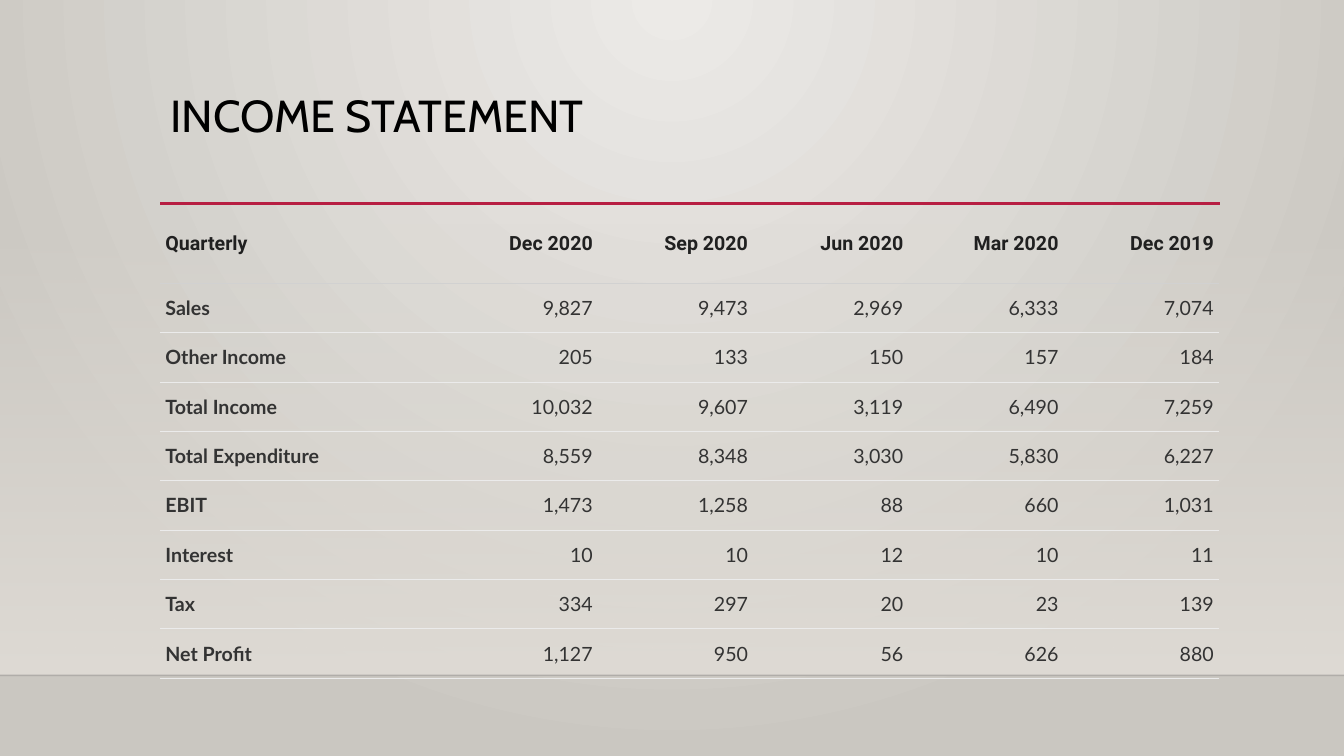
from dataclasses import dataclass

from lxml.etree import SubElement
from pptx import Presentation
from pptx.dml.color import RGBColor
from pptx.enum.shapes import MSO_CONNECTOR, MSO_SHAPE
from pptx.enum.text import MSO_ANCHOR, PP_ALIGN
from pptx.oxml import parse_xml
from pptx.oxml.ns import nsdecls, qn
from pptx.util import Inches, Pt


@dataclass(frozen=True)
class Theme:
    """Colours, fonts and type sizes of the slide."""
    glow: str = "ECEAE7"
    edge: str = "CAC7C1"
    wall: str = "DFDBD5"
    floor_line: str = "000001"
    accent: str = "B71E42"
    title: str = "000000"
    header: str = "202020"
    body: str = "333333"
    header_rule: str = "D1D1D1"
    body_rule: str = "EBEBEB"
    title_font: str = "Cabin"
    header_font: str = "Roboto"
    body_font: str = "Lato"
    title_size: int = 32
    table_size: int = 14


@dataclass(frozen=True)
class Box:
    """A region of the slide, in inches."""
    left: float
    top: float
    width: float
    height: float

    def lengths(self):
        """Return left, top, width and height as lengths."""
        return [Inches(v) for v in (self.left, self.top, self.width, self.height)]


THEME = Theme()
SLIDE = Box(0, 0, 13.33, 7.5)
WALL = Box(0, 2.21, 13.33, 4.49)
TITLE = Box(1.59, 0.88, 10.5, 1.15)
STATEMENT = Box(1.59, 2.03, 10.5, 4.7)
QUARTER_WIDTH, HEADER_HEIGHT, ROW_HEIGHT = 1.54, 0.78, 0.49
NO_TABLE_STYLE = "{2D5ABB26-0587-4C30-8999-92F81FD0307C}"

INCOME_STATEMENT = [
    ("Quarterly", "Dec 2020", "Sep 2020", "Jun 2020", "Mar 2020", "Dec 2019"),
    ("Sales", "9,827", "9,473", "2,969", "6,333", "7,074"),
    ("Other Income", "205", "133", "150", "157", "184"),
    ("Total Income", "10,032", "9,607", "3,119", "6,490", "7,259"),
    ("Total Expenditure", "8,559", "8,348", "3,030", "5,830", "6,227"),
    ("EBIT", "1,473", "1,258", "88", "660", "1,031"),
    ("Interest", "10", "10", "12", "10", "11"),
    ("Tax", "334", "297", "20", "23", "139"),
    ("Net Profit", "1,127", "950", "56", "626", "880"),
]


def set_alpha(color, percent):
    """Give an a:srgbClr element an opacity."""
    SubElement(color, qn("a:alpha")).set("val", str(percent * 1000))


def set_gradient(grad_fill, first, last, direction):
    """Replace a gradient's two end colours and its direction element."""
    for child in list(grad_fill):
        grad_fill.remove(child)
    stops = SubElement(grad_fill, qn("a:gsLst"))
    for position, color in ((0, first), (100000, last)):
        stop = SubElement(stops, qn("a:gs"), pos=str(position))
        SubElement(stop, qn("a:srgbClr"), val=color)
    grad_fill.append(parse_xml(direction))


def style_font(paragraph, name, size, color, bold=False):
    """Format every run of a paragraph."""
    for run in paragraph.runs:
        run.font.name = name
        run.font.size = Pt(size)
        run.font.bold = bold
        run.font.color.rgb = RGBColor.from_string(color)


def add_rule(slide, left, top, width, color, weight):
    """Draw a horizontal line without a shadow and return it."""
    rule = slide.shapes.add_connector(
        MSO_CONNECTOR.STRAIGHT, Inches(left), Inches(top),
        Inches(left + width), Inches(top))
    rule.line.color.rgb = RGBColor.from_string(color)
    rule.line.width = Pt(weight)
    SubElement(rule._element.spPr, qn("a:effectLst"))
    return rule


def add_backdrop(slide, box):
    """Paint the glowing background, the wall shade and the floor line."""
    slide.background.fill.gradient()
    set_gradient(
        slide.element.find(".//" + qn("a:gradFill")), THEME.glow, THEME.edge,
        f'<a:path {nsdecls("a")} path="circle">'
        '<a:fillToRect l="43000" t="0" r="43000" b="100000"/></a:path>')

    wall = slide.shapes.add_shape(MSO_SHAPE.RECTANGLE, *box.lengths())
    wall.shadow.inherit = False
    wall.line.fill.background()
    wall.fill.gradient()
    wall_fill = wall._element.spPr.find(qn("a:gradFill"))
    set_gradient(wall_fill, THEME.wall, THEME.wall,
                 f'<a:lin {nsdecls("a")} ang="5400000" scaled="0"/>')
    set_alpha(wall_fill.find(".//" + qn("a:srgbClr")), 0)

    floor = add_rule(slide, box.left, box.top + box.height, box.width,
                     THEME.floor_line, 1)
    set_alpha(floor._element.spPr.find(".//" + qn("a:srgbClr")), 20)


def add_heading(slide, box):
    """Place the title and the accent rule beneath it."""
    add_rule(slide, box.left, box.top + box.height - 0.01, box.width + 0.01,
             THEME.accent, 2.5)
    title = slide.shapes.title
    title.left, title.top, title.width, title.height = box.lengths()
    frame = title.text_frame
    frame.text = "INCOME STATEMENT"
    frame.word_wrap = True
    frame.vertical_anchor = MSO_ANCHOR.TOP
    heading = frame.paragraphs[0]
    heading.alignment = PP_ALIGN.LEFT
    heading.line_spacing = 0.9
    style_font(heading, THEME.title_font, THEME.title_size, THEME.title)


def set_border(cell, side, color):
    """Add a thin border to the top (lnT) or bottom (lnB) of a cell."""
    border = parse_xml(
        f'<a:{side} {nsdecls("a")} w="{Pt(0.6)}"><a:solidFill>'
        f'<a:srgbClr val="{color}"/></a:solidFill></a:{side}>')
    cell._tc.get_or_add_tcPr().insert(0, border)


def fill_cell(cell, text, is_header, is_label):
    """Write and format one cell of the statement."""
    cell.text = text
    cell.fill.background()
    cell.vertical_anchor = MSO_ANCHOR.MIDDLE
    cell.margin_left = cell.margin_right = Inches(0.05)
    cell.margin_top = cell.margin_bottom = Inches(0.08)
    entry = cell.text_frame.paragraphs[0]
    entry.alignment = PP_ALIGN.LEFT if is_label else PP_ALIGN.RIGHT
    style_font(entry, THEME.header_font if is_header else THEME.body_font,
               THEME.table_size, THEME.header if is_header else THEME.body,
               bold=is_header or is_label)


def add_statement(slide, box):
    """Build the quarterly income table."""
    quarters = len(INCOME_STATEMENT[0]) - 1
    frame = slide.shapes.add_table(
        len(INCOME_STATEMENT), quarters + 1, *box.lengths())
    table = frame.table
    table._tbl.tblPr.find(qn("a:tableStyleId")).text = NO_TABLE_STYLE
    table.horz_banding = False
    for column in table.columns:
        column.width = Inches(QUARTER_WIDTH)
    table.columns[0].width = Inches(box.width - quarters * QUARTER_WIDTH)

    for r, entries in enumerate(INCOME_STATEMENT):
        table.rows[r].height = Inches(ROW_HEIGHT if r else HEADER_HEIGHT)
        for c, text in enumerate(entries):
            cell = table.cell(r, c)
            fill_cell(cell, text, is_header=r == 0, is_label=c == 0)
            set_border(cell, "lnB", THEME.body_rule if r else THEME.header_rule)
            if r:
                above = THEME.header_rule if r == 1 else THEME.body_rule
                set_border(cell, "lnT", above)


def build_income_slide(deck):
    """Add the income statement slide to the deck."""
    slide = deck.slides.add_slide(deck.slide_layouts[5])
    add_backdrop(slide, WALL)
    add_heading(slide, TITLE)
    add_statement(slide, STATEMENT)


deck = Presentation()
deck.slide_width, deck.slide_height = SLIDE.lengths()[2:]
build_income_slide(deck)
deck.save("out.pptx")
